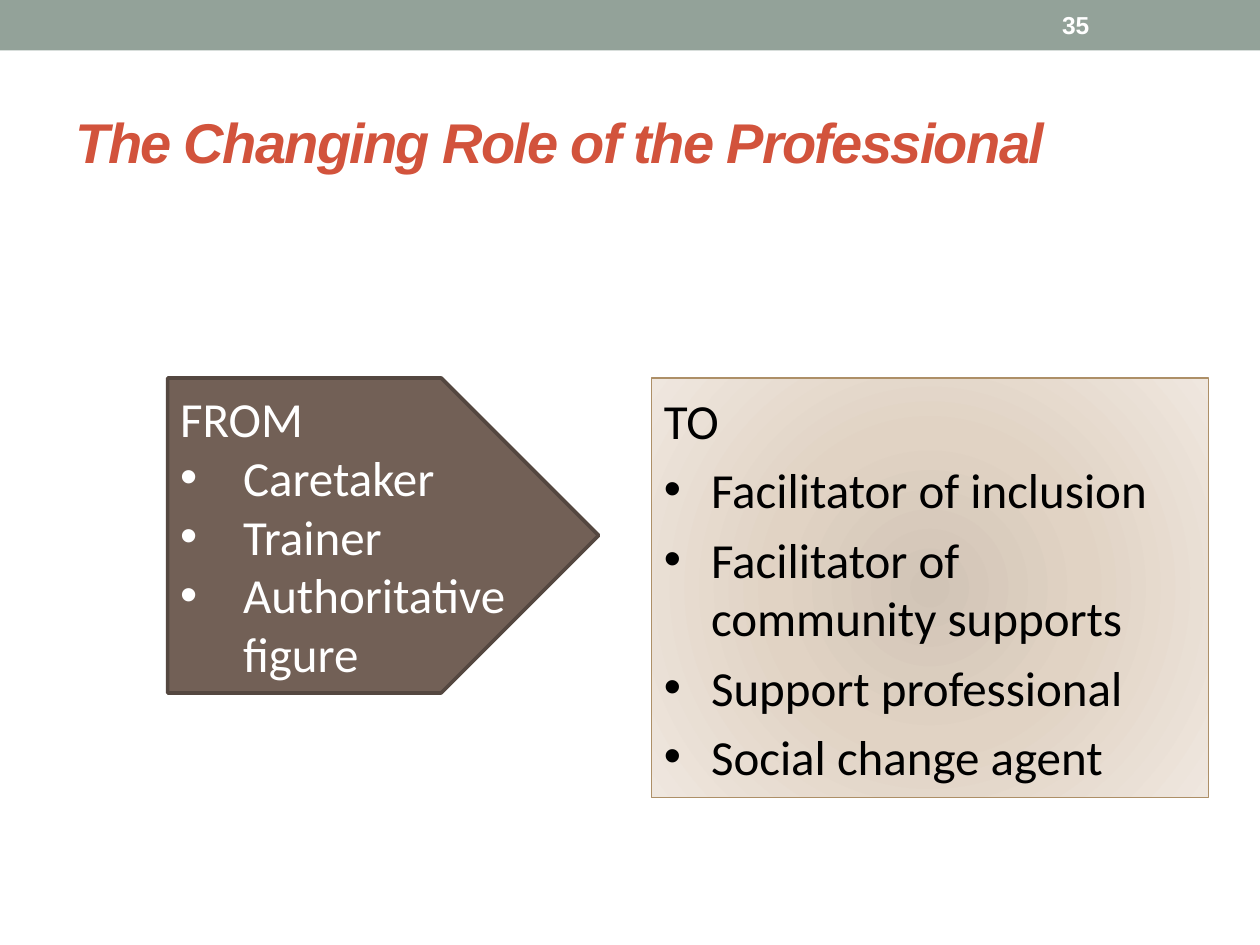
from lxml import etree
from pptx import Presentation
from pptx.dml.color import RGBColor
from pptx.enum.shapes import MSO_SHAPE
from pptx.enum.text import MSO_ANCHOR, MSO_AUTO_SIZE, PP_ALIGN
from pptx.oxml import parse_xml
from pptx.oxml.ns import qn
from pptx.util import Cm, Pt

RECTANGLE, PENTAGON = MSO_SHAPE.RECTANGLE, MSO_SHAPE.PENTAGON
MIDDLE, LEFT, NO_FIT = MSO_ANCHOR.MIDDLE, PP_ALIGN.LEFT, MSO_AUTO_SIZE.NONE
DRAWING_NS = "http://schemas.openxmlformats.org/drawingml/2006/main"

COLORS = {
    "banner": "93A299", "title": "D2533C", "white": "FFFFFF", "black": "000000",
    "from_fill": "726056", "from_line": "544740", "to_line": "AD8F67",
    "glow_center": "D1C4B6", "glow_middle": "E1D3C4", "glow_edge": "EFE7DF",
}


def place(shape, left, top, width, height):
    shape.left, shape.top = Cm(left), Cm(top)
    shape.width, shape.height = Cm(width), Cm(height)


def write(shape, lines, color, font, indent=0, space_before=0):
    """Fill a shape with a first line and, below it, bulleted lines."""
    frame = shape.text_frame
    frame.word_wrap = True
    frame.auto_size = NO_FIT
    frame.vertical_anchor = MIDDLE
    frame.text = "\n".join(lines)
    for number, para in enumerate(frame.paragraphs):
        properties = para._p.get_or_add_pPr()
        hanging = Cm(indent) if number else 0
        properties.set("marL", str(hanging))
        properties.set("indent", str(-hanging))
        if number:
            etree.SubElement(properties, qn("a:buFont"), typeface="Arial")
            etree.SubElement(properties, qn("a:buChar"), char="•")
        else:
            etree.SubElement(properties, qn("a:buNone"))
        para.alignment = LEFT
        para.space_before = Pt(space_before if number else 0)
        span = para.runs[0]
        for name, value in font.items():
            setattr(span.font, name, value)
        span.font.color.rgb = RGBColor.from_string(COLORS[color])


deck = Presentation()
deck.slide_width, deck.slide_height = Cm(25.4), Cm(19.05)
page = deck.slides.add_slide(deck.slide_layouts[1])
shapes = page.shapes
list_font = {"name": "Calibri", "size": Pt(28)}

# Banner and page number
banner = shapes.add_shape(RECTANGLE, 0, 0, deck.slide_width, Cm(1.02))
banner.shadow.inherit = False
banner.fill.solid()
banner.fill.fore_color.rgb = RGBColor.from_string(COLORS["banner"])
banner.line.fill.background()

page_number = shapes.add_textbox(Cm(21.16), Cm(0.05), Cm(2.97), Cm(0.91))
write(page_number, ["35"], "white", {"name": "Arial", "size": Pt(14), "bold": True})

# Title
title = shapes.title
place(title, 1.27, 1.47, 22.86, 2.74)
write(title, ["The Changing Role of the Professional"], "title",
      {"name": "Arial", "size": Pt(32), "bold": True, "italic": True})
title.text_frame.paragraphs[0].runs[0].font._element.set("spc", "-100")

# Old role
from_box = shapes.add_shape(PENTAGON, Cm(3.38), Cm(7.62), Cm(8.69), Cm(6.35))
from_box.shadow.inherit = False
from_box.fill.solid()
from_box.fill.fore_color.rgb = RGBColor.from_string(COLORS["from_fill"])
from_box.line.color.rgb = RGBColor.from_string(COLORS["from_line"])
from_box.line.width = Pt(2.08)
write(from_box, ["FROM", "Caretaker", "Trainer", "Authoritative figure"],
      "white", list_font, indent=1.27)

# New role, with a glow spreading from the centre
to_box = page.placeholders[1]
place(to_box, 13.13, 7.62, 11.23, 8.46)
stops = "".join(
    f'<a:gs pos="{percent * 1000}"><a:srgbClr val="{COLORS[color]}"/></a:gs>'
    for percent, color in [(0, "glow_center"), (45, "glow_middle"), (100, "glow_edge")]
)
to_box._element.spPr.append(parse_xml(
    f'<a:gradFill xmlns:a="{DRAWING_NS}" rotWithShape="1"><a:gsLst>{stops}</a:gsLst>'
    '<a:path path="circle"><a:fillToRect l="100000" t="100000" r="100000" b="100000"/>'
    '</a:path></a:gradFill>'
))
to_box.line.color.rgb = RGBColor.from_string(COLORS["to_line"])
to_box.line.width = Pt(0.75)
write(to_box,
      ["TO", "Facilitator of inclusion", "Facilitator of community supports",
       "Support professional", "Social change agent"],
      "black", list_font, indent=0.95, space_before=6)

deck.save("out.pptx")
